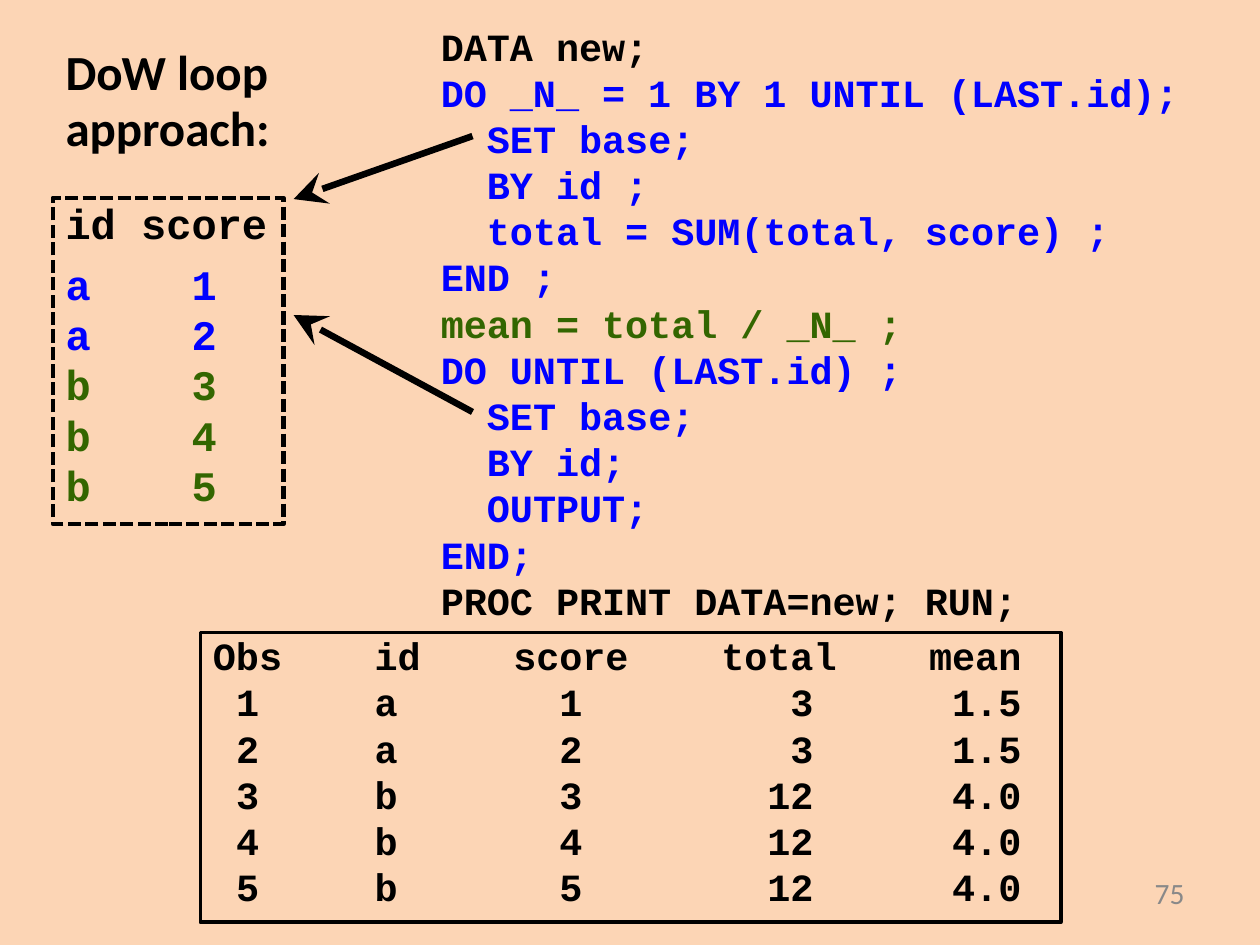
from dataclasses import dataclass

from lxml.etree import SubElement
from pptx import Presentation
from pptx.dml.color import RGBColor
from pptx.enum.dml import MSO_LINE
from pptx.enum.shapes import MSO_CONNECTOR, MSO_SHAPE
from pptx.enum.text import MSO_ANCHOR, MSO_AUTO_SIZE, PP_ALIGN
from pptx.oxml.ns import qn
from pptx.util import Inches, Pt


@dataclass(frozen=True)
class Theme:
    background: RGBColor = RGBColor(0xFC, 0xD5, 0xB5)
    black: RGBColor = RGBColor(0, 0, 0)
    blue: RGBColor = RGBColor(0, 0, 0xFF)
    green: RGBColor = RGBColor(0x33, 0x66, 0)
    gray: RGBColor = RGBColor(0x89, 0x89, 0x89)
    sans: str = "Calibri"
    mono: str = "Courier New"
    title_size: float = 28
    code_size: float = 22
    data_size: float = 24
    number_size: float = 16.8


THEME = Theme()
NO_STYLE = "{2D5ABB26-0587-4C30-8999-92F81FD0307C}"


@dataclass(frozen=True)
class Bounds:
    left: float
    top: float
    width: float
    height: float

    def lengths(self) -> list:
        return [Inches(v) for v in (self.left, self.top, self.width, self.height)]


@dataclass(frozen=True)
class Column:
    """A table column, measured in characters of the fixed-width font."""
    name: str
    start: float
    end: float
    align: PP_ALIGN = PP_ALIGN.LEFT
    value_inset: int = 0


@dataclass(frozen=True)
class Line:
    text: str
    color: RGBColor = THEME.black
    size: float = THEME.code_size
    font: str = THEME.mono
    bold: bool = True
    indent: int = 0
    space_after: float = 0
    spacing: float = 1.0
    align: PP_ALIGN = PP_ALIGN.LEFT


@dataclass(frozen=True)
class Arrow:
    start: tuple
    end: tuple


def chars(count: float, size: float) -> int:
    """Width of that many fixed-width characters."""
    return Inches(count * 0.6 * size / 72)


def write_line(para, line: Line) -> None:
    para.alignment = line.align
    para.line_spacing = line.spacing
    para.space_before = Pt(0)
    para.space_after = Pt(line.space_after)
    properties = para._p.get_or_add_pPr()
    properties.set("marL", str(chars(line.indent, line.size)))
    properties.set("indent", "0")
    span = para.add_run()
    span.text = line.text
    span.font.name = line.font
    span.font.size = Pt(line.size)
    span.font.bold = line.bold
    span.font.color.rgb = line.color


def write_lines(shape, lines: list, anchor=MSO_ANCHOR.TOP) -> None:
    frame = shape.text_frame
    frame.word_wrap = True
    frame.auto_size = MSO_AUTO_SIZE.NONE
    frame.vertical_anchor = anchor
    for index, line in enumerate(lines):
        write_line(frame.add_paragraph() if index else frame.paragraphs[0], line)


def add_text(slide, bounds: Bounds, lines: list, anchor=MSO_ANCHOR.TOP) -> None:
    write_lines(slide.shapes.add_textbox(*bounds.lengths()), lines, anchor)


def add_frame(slide, bounds: Bounds, width: float, dash=None) -> None:
    box = slide.shapes.add_shape(MSO_SHAPE.RECTANGLE, *bounds.lengths())
    box.shadow.inherit = False
    box.fill.background()
    box.line.color.rgb = THEME.black
    box.line.width = Pt(width)
    if dash is not None:
        box.line.dash_style = dash


def add_listing(slide, frame: Bounds, columns: list, records: list, colors: list,
                size: float, header_gap: float = 0) -> None:
    """A table without rules, set inside the frame around it."""
    rows = [[column.name for column in columns]] + records
    row_height = Pt(1.2 * size)
    first, last = columns[0], columns[-1]
    table = slide.shapes.add_table(
        len(rows), len(columns),
        Inches(frame.left + 0.1) + chars(first.start, size), Inches(frame.top + 0.05),
        chars(last.end - first.start, size),
        row_height * len(rows) + Pt(header_gap)).table
    table.first_row = table.horz_banding = False
    table._tbl.tblPr.find(qn("a:tableStyleId")).text = NO_STYLE
    for row in table.rows:
        row.height = row_height
    table.rows[0].height = row_height + Pt(header_gap)
    edge = first.start
    for position, column in enumerate(columns):
        table.columns[position].width = chars(column.end - edge, size)
        for index, values in enumerate(rows):
            cell = table.cell(index, position)
            cell.fill.background()
            cell.margin_top = cell.margin_bottom = 0
            cell.margin_left = chars(column.start - edge, size)
            cell.margin_right = chars(column.value_inset if index else 0, size)
            color = colors[index - 1] if index else THEME.black
            write_line(cell.text_frame.paragraphs[0],
                       Line(str(values[position]), color, size, align=column.align))
        edge = column.end


def add_arrow(slide, arrow: Arrow) -> None:
    ends = [Inches(v) for v in (*arrow.start, *arrow.end)]
    connector = slide.shapes.add_connector(MSO_CONNECTOR.STRAIGHT, *ends)
    connector.line.color.rgb = THEME.black
    connector.line.width = Pt(3.75)
    SubElement(connector.line._get_or_add_ln(), qn("a:tailEnd"),
               type="stealth", w="lg", len="lg")
    SubElement(connector._element.spPr, qn("a:effectLst"))


def add_title(slide, bounds: Bounds, texts: list) -> None:
    title = slide.shapes.title
    title.left, title.top, title.width, title.height = bounds.lengths()
    write_lines(title, [Line(text, size=THEME.title_size, font=THEME.sans,
                             spacing=0.9, space_after=1.8) for text in texts])


CODE = [
    Line("DATA new;"),
    Line("DO _N_ = 1 BY 1 UNTIL (LAST.id);", THEME.blue),
    Line("SET base;", THEME.blue, indent=2),
    Line("BY id ;", THEME.blue, indent=2),
    Line("total = SUM(total, score) ;", THEME.blue, indent=2),
    Line("END ;", THEME.blue),
    Line("mean = total / _N_ ;", THEME.green),
    Line("DO UNTIL (LAST.id) ;", THEME.blue),
    Line("SET base;", THEME.blue, indent=2),
    Line("BY id;", THEME.blue, indent=2),
    Line("OUTPUT;", THEME.blue, indent=2),
    Line("END;", THEME.blue),
    Line("PROC PRINT DATA=new; RUN;"),
]
BASE = [("a", 1), ("a", 2), ("b", 3), ("b", 4), ("b", 5)]
GROUP_COLORS = {"a": THEME.blue, "b": THEME.green}
BASE_COLUMNS = [Column("id", 0, 2.5), Column("score", 2.5, 8.5, PP_ALIGN.CENTER)]
RESULT_COLUMNS = [
    Column("Obs", -0.4, 3.4, PP_ALIGN.CENTER),
    Column("id", 7, 11),
    Column("score", 12, 19, PP_ALIGN.CENTER),
    Column("total", 21, 27, PP_ALIGN.RIGHT, value_inset=1),
    Column("mean", 29, 35, PP_ALIGN.RIGHT),
]
BASE_FRAME = Bounds(0.42, 1.57, 1.83, 2.59)
RESULT_FRAME = Bounds(1.59, 5.02, 6.83, 2.3)
ARROWS = [Arrow((3.75, 1.08), (2.33, 1.58)), Arrow((3.75, 3.27), (2.33, 2.5))]


def result_records() -> list:
    """Each record with the total and mean of its id group."""
    records = []
    for number, (group, score) in enumerate(BASE, 1):
        scores = [value for name, value in BASE if name == group]
        total = sum(scores)
        records.append((number, group, score, total, f"{total / len(scores):.1f}"))
    return records


def main() -> None:
    deck = Presentation()
    deck.slide_width, deck.slide_height = Inches(10), Inches(7.5)
    page = deck.slides.add_slide(deck.slide_layouts[5])
    page.background.fill.solid()
    page.background.fill.fore_color.rgb = THEME.background

    add_title(page, Bounds(0.42, 0.33, 1.92, 1), ["DoW loop", "approach:"])
    add_text(page, Bounds(3.4, 0.13, 6.1, 4.87), CODE)
    add_frame(page, RESULT_FRAME, 2)
    add_listing(page, RESULT_FRAME, RESULT_COLUMNS, result_records(),
                [THEME.black] * len(BASE), THEME.code_size)
    add_text(page, Bounds(7.17, 6.91, 2.33, 0.4),
             [Line("75", THEME.gray, THEME.number_size, THEME.sans, bold=False,
                   spacing=0.8, align=PP_ALIGN.RIGHT)], MSO_ANCHOR.MIDDLE)
    add_frame(page, BASE_FRAME, 2.5, MSO_LINE.SQUARE_DOT)
    add_listing(page, BASE_FRAME, BASE_COLUMNS, BASE,
                [GROUP_COLORS[group] for group, _ in BASE], THEME.data_size, 6)
    for arrow in ARROWS:
        add_arrow(page, arrow)
    deck.save("out.pptx")


if __name__ == "__main__":
    main()
